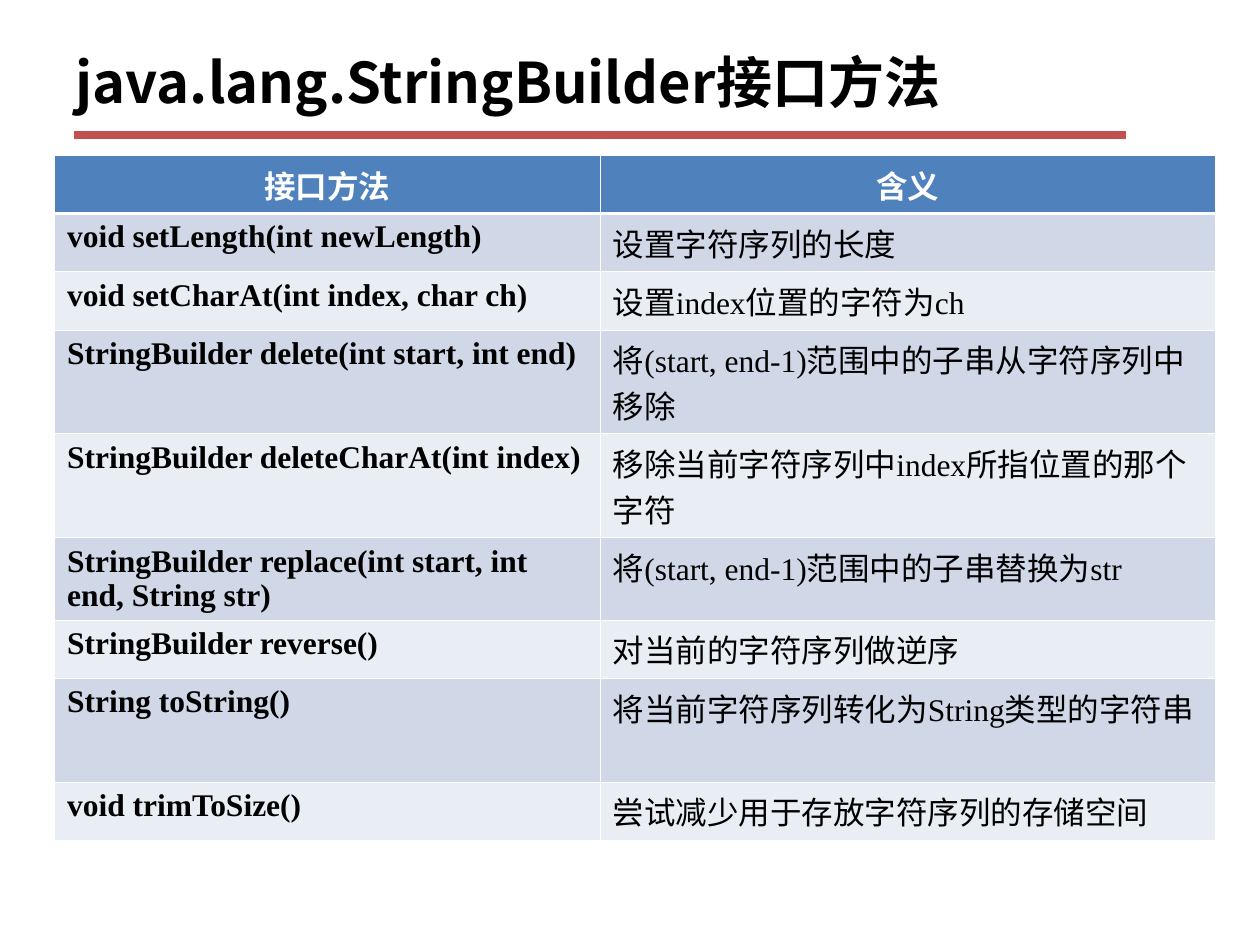
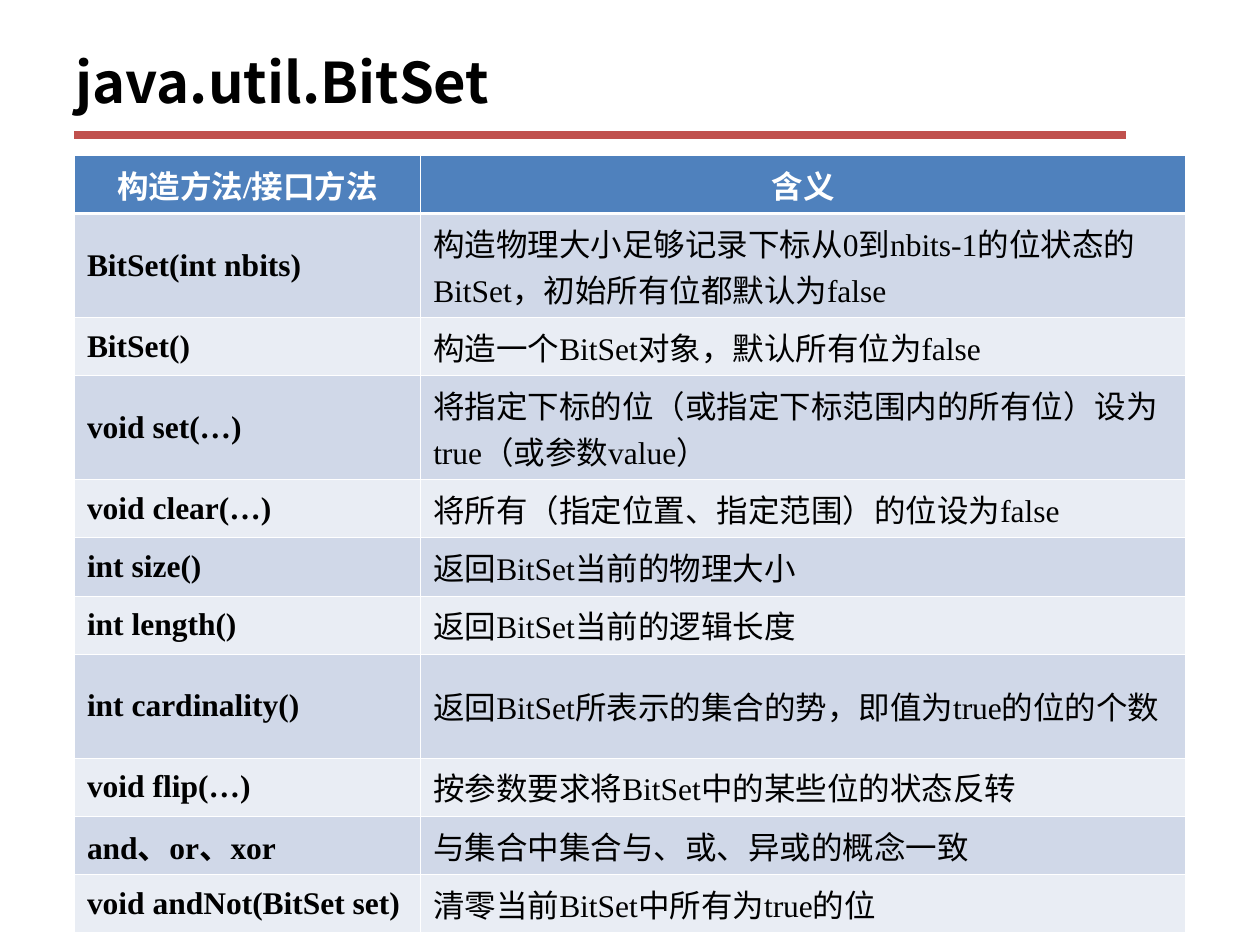
from dataclasses import dataclass

from lxml.etree import SubElement
from pptx import Presentation
from pptx.dml.color import RGBColor
from pptx.enum.shapes import MSO_CONNECTOR
from pptx.enum.text import MSO_ANCHOR, MSO_AUTO_SIZE, PP_ALIGN
from pptx.oxml import parse_xml
from pptx.oxml.ns import nsdecls, qn
from pptx.util import Cm, Pt


@dataclass(frozen=True)
class Theme:
    ink: str = "000000"
    paper: str = "FFFFFF"
    rule: str = "C0504D"
    header: str = "4F81BD"
    bands: tuple = ("D0D8E8", "E9EDF4")
    title_font: str = "Noto Sans CJK SC"
    table_font: str = "Times New Roman"
    asian_font: str = "Noto Sans CJK SC"
    title_size: int = 32
    table_size: int = 18
    rule_width: float = 4.5
    border_width: float = 0.45
    header_border_width: float = 1.47


ONE_LINE, TWO_LATIN_LINES, TWO_LINES = 1.17, 1.65, 2.08

BUILDER_ROWS = [
    ("接口方法", "含义", ONE_LINE),
    ("void setLength(int newLength)", "设置字符序列的长度", ONE_LINE),
    ("void setCharAt(int index, char ch)", "设置index位置的字符为ch", ONE_LINE),
    ("StringBuilder delete(int start, int end)", "将(start, end-1)范围中的子串从字符序列中移除", TWO_LINES),
    ("StringBuilder deleteCharAt(int index)", "移除当前字符序列中index所指位置的那个字符", TWO_LINES),
    ("StringBuilder replace(int start, int end, String str)", "将(start, end-1)范围中的子串替换为str", TWO_LATIN_LINES),
    ("StringBuilder reverse()", "对当前的字符序列做逆序", ONE_LINE),
    ("String toString()", "将当前字符序列转化为String类型的字符串", TWO_LINES),
    ("void trimToSize()", "尝试减少用于存放字符序列的存储空间", ONE_LINE),
]

BITSET_ROWS = [
    ("构造方法/接口方法", "含义", ONE_LINE),
    ("BitSet(int nbits)", "构造物理大小足够记录下标从0到nbits-1的位状态的BitSet，初始所有位都默认为false", TWO_LINES),
    ("BitSet()", "构造一个BitSet对象，默认所有位为false", ONE_LINE),
    ("void set(…)", "将指定下标的位（或指定下标范围内的所有位）设为true（或参数value）", TWO_LINES),
    ("void clear(…)", "将所有（指定位置、指定范围）的位设为false", ONE_LINE),
    ("int size()", "返回BitSet当前的物理大小", ONE_LINE),
    ("int length()", "返回BitSet当前的逻辑长度", ONE_LINE),
    ("int cardinality()", "返回BitSet所表示的集合的势，即值为true的位的个数", TWO_LINES),
    ("void flip(…)", "按参数要求将BitSet中的某些位的状态反转", ONE_LINE),
    ("and、or、xor", "与集合中集合与、或、异或的概念一致", ONE_LINE),
    ("void andNot(BitSet set)", "清零当前BitSet中所有为true的位", ONE_LINE),
]


def assign(target, values):
    for name, value in values.items():
        setattr(target, name, value)


class PageBuilder:
    def __init__(self, deck, theme):
        self.deck = deck
        self.theme = theme
        self.page = None

    def start_page(self, title):
        self.page = self.deck.slides.add_slide(self.deck.slide_layouts[5])
        self.add_rule()
        self.set_title(title)

    def add_span(self, para, text, font, size, color, bold):
        span = para.add_run()
        span.text = text
        assign(span.font, {"name": font, "size": Pt(size), "bold": bold})
        span.font.color.rgb = RGBColor.from_string(color)
        SubElement(span._r.get_or_add_rPr(), qn("a:ea")).set("typeface", self.theme.asian_font)

    def set_title(self, text):
        theme = self.theme
        box = self.page.shapes.title
        assign(box, {"left": Cm(1.27), "top": Cm(0.53), "width": Cm(22.86), "height": Cm(2.2)})
        assign(box.text_frame, {
            "word_wrap": True,
            "auto_size": MSO_AUTO_SIZE.NONE,
            "vertical_anchor": MSO_ANCHOR.MIDDLE,
        })
        para = box.text_frame.paragraphs[0]
        para.alignment = PP_ALIGN.LEFT
        self.add_span(para, text, theme.title_font, theme.title_size, theme.ink, True)

    def add_rule(self):
        height = Cm(2.72)
        rule = self.page.shapes.add_connector(
            MSO_CONNECTOR.STRAIGHT, Cm(1.5), height, Cm(22.7), height)
        rule.line.width = Pt(self.theme.rule_width)
        rule.line.color.rgb = RGBColor.from_string(self.theme.rule)
        SubElement(rule._element.spPr, qn("a:effectLst"))

    def add_borders(self, cell, row_index):
        theme = self.theme
        heavy_side = {0: "lnB", 1: "lnT"}.get(row_index)
        properties = cell._tc.get_or_add_tcPr()
        for position, side in enumerate(("lnL", "lnR", "lnT", "lnB")):
            width = theme.header_border_width if side == heavy_side else theme.border_width
            properties.insert(position, parse_xml(
                f'<a:{side} {nsdecls("a")} w="{Pt(width)}"><a:solidFill>'
                f'<a:srgbClr val="{theme.paper}"/></a:solidFill></a:{side}>'))

    def fill_cell(self, cell, text, row_index, column_index, anchor):
        theme = self.theme
        is_header = row_index == 0
        fill = theme.header if is_header else theme.bands[(row_index - 1) % 2]
        cell.fill.solid()
        cell.fill.fore_color.rgb = RGBColor.from_string(fill)
        cell.vertical_anchor = anchor
        self.add_borders(cell, row_index)
        para = cell.text_frame.paragraphs[0]
        para.alignment = PP_ALIGN.CENTER if is_header else PP_ALIGN.LEFT
        self.add_span(para, text, theme.table_font, theme.table_size,
                      theme.paper if is_header else theme.ink,
                      is_header or column_index == 0)

    def add_method_table(self, rows, left, widths, anchor):
        total_height = sum(height for *_, height in rows)
        table = self.page.shapes.add_table(
            len(rows), len(widths), Cm(left), Cm(3.13),
            Cm(sum(widths)), Cm(total_height)).table
        for column, width in zip(table.columns, widths):
            column.width = Cm(width)
        for row_index, (*texts, height) in enumerate(rows):
            table.rows[row_index].height = Cm(height)
            for column_index, text in enumerate(texts):
                self.fill_cell(table.cell(row_index, column_index), text,
                               row_index, column_index, anchor)


def main():
    deck = Presentation()
    assign(deck, {"slide_width": Cm(25.4), "slide_height": Cm(19.05)})
    builder = PageBuilder(deck, Theme())

    builder.start_page("java.lang.StringBuilder接口方法")
    builder.add_method_table(BUILDER_ROWS, 1.1, (11, 12.4), MSO_ANCHOR.TOP)

    builder.start_page("java.util.BitSet")
    builder.add_method_table(BITSET_ROWS, 1.5, (6.98, 15.42), MSO_ANCHOR.MIDDLE)

    deck.save("out.pptx")


if __name__ == "__main__":
    main()
